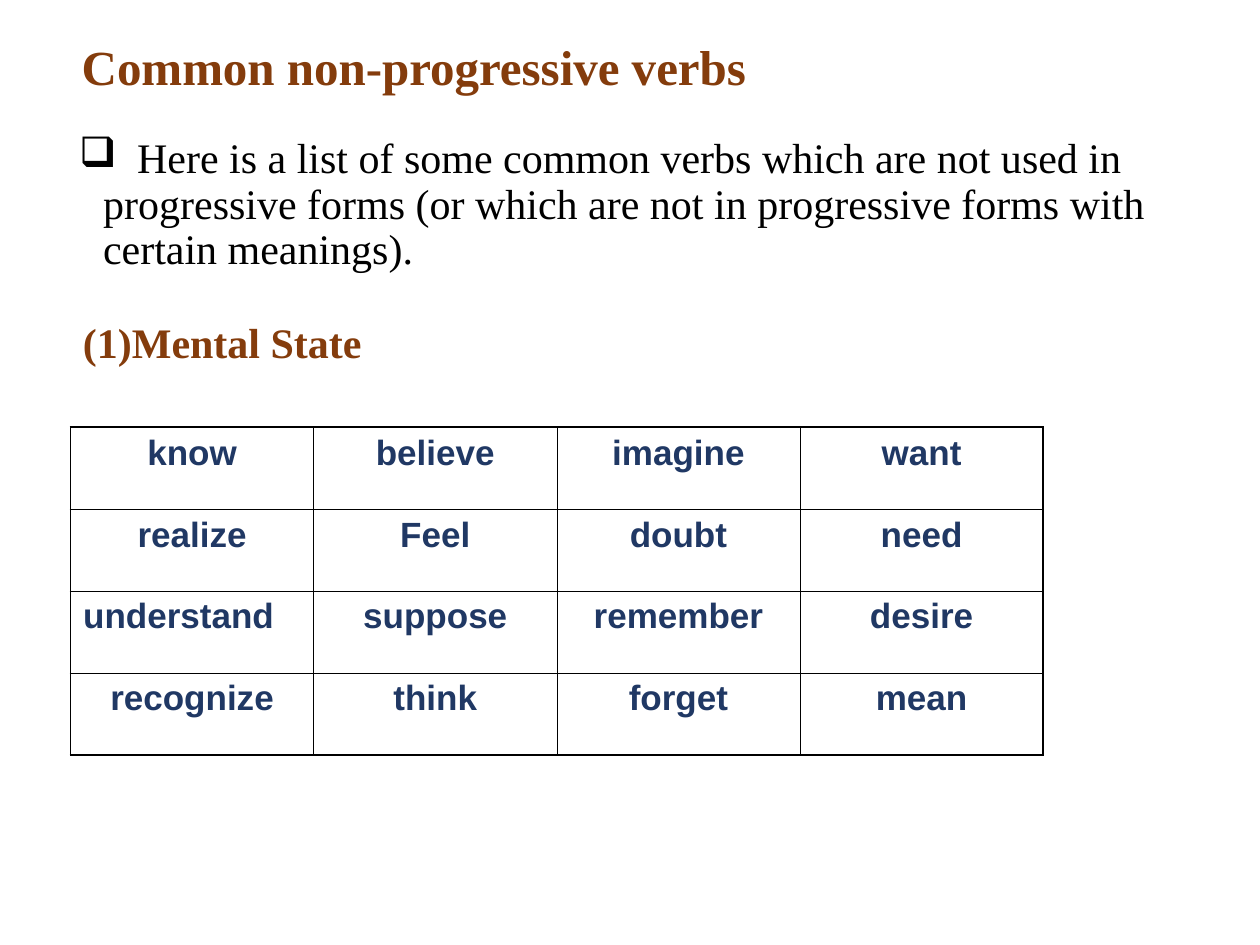
import lxml.etree
import pptx
import pptx.dml.color
import pptx.enum.shapes
import pptx.enum.text
import pptx.oxml.ns
import pptx.util

COLORS = {"heading": "843C0C", "body": "000000", "verb": "203864",
          "border": "000000", "paper": "FFFFFF"}
SLIDE_WIDTH, SLIDE_HEIGHT = 10, 7.5
COLUMN_WIDTH, ROW_HEIGHT = 1.93, 0.65
OUTER_BORDER, INNER_BORDER = 1.08, 0.45
HEADING = {"name": "Times New Roman", "bold": True}
BODY = {"name": "Times New Roman", "size": pptx.util.Pt(24), "bold": False}
VERB = {"name": "Arial", "size": pptx.util.Pt(20), "bold": True}
VERBS = [
    ["know", "believe", "imagine", "want"],
    ["realize", "Feel", "doubt", "need"],
    ["understand", "suppose", "remember", "desire"],
    ["recognize", "think", "forget", "mean"],
]


def rgb(part):
    return pptx.dml.color.RGBColor.from_string(COLORS[part])


def add_child(parent, tag, **attributes):
    return lxml.etree.SubElement(parent, pptx.oxml.ns.qn(tag), attributes)


def write(paragraph, text, font_values, part, align="LEFT"):
    paragraph.text = text
    paragraph.alignment = getattr(pptx.enum.text.PP_ALIGN, align)
    font = paragraph.runs[0].font
    for name, value in font_values.items():
        setattr(font, name, value)
    font.color.rgb = rgb(part)


def add_heading(slide, text, size, left, top, width, height):
    heading = slide.shapes.add_shape(
        pptx.enum.shapes.MSO_SHAPE.RECTANGLE,
        *map(pptx.util.Inches, (left, top, width, height)))
    heading.shadow.inherit = False
    heading.fill.solid()
    heading.fill.fore_color.rgb = rgb("paper")
    heading.line.fill.background()
    frame = heading.text_frame
    frame.word_wrap = True
    frame.vertical_anchor = pptx.enum.text.MSO_ANCHOR.TOP
    write(frame.paragraphs[0], text,
          {**HEADING, "size": pptx.util.Pt(size)}, "heading")


def add_bulleted_text(slide, text, left, top, width, height):
    box = slide.shapes.add_textbox(
        *map(pptx.util.Inches, (left, top, width, height)))
    box.text_frame.word_wrap = True
    paragraph = box.text_frame.paragraphs[0]
    paragraph.line_spacing = 0.9
    hanging = pptx.util.Inches(0.19)
    properties = paragraph._p.get_or_add_pPr()
    properties.set("marL", str(hanging))
    properties.set("indent", str(-hanging))
    bullet_color = add_child(properties, "a:buClr")
    add_child(bullet_color, "a:srgbClr", val=COLORS["body"])
    add_child(properties, "a:buChar", char="❑")
    tabs = add_child(properties, "a:tabLst")
    add_child(tabs, "a:tab", pos=str(pptx.util.Inches(0.46)), algn="l")
    write(paragraph, "\t" + text, BODY, "body")


def draw_borders(cell, row, column, last_row, last_column):
    """Draw the four sides, heavier along the edge of the table."""
    properties = cell._tc.get_or_add_tcPr()
    on_edge = {"a:lnL": column == 0, "a:lnR": column == last_column,
               "a:lnT": row == 0, "a:lnB": row == last_row}
    for side, outer in on_edge.items():
        weight = pptx.util.Pt(OUTER_BORDER if outer else INNER_BORDER)
        line = add_child(properties, side, w=str(weight))
        fill = add_child(line, "a:solidFill")
        add_child(fill, "a:srgbClr", val=COLORS["border"])


def add_verb_table(slide, left, top):
    rows, columns = len(VERBS), len(VERBS[0])
    table = slide.shapes.add_table(
        rows, columns, *map(pptx.util.Inches, (
            left, top, columns * COLUMN_WIDTH, rows * ROW_HEIGHT))).table
    table.first_row = table.horz_banding = False
    for row, verbs in enumerate(VERBS):
        for column, verb in enumerate(verbs):
            cell = table.cell(row, column)
            draw_borders(cell, row, column, rows - 1, columns - 1)
            cell.fill.background()
            align = "LEFT" if verb == "understand" else "CENTER"
            write(cell.text_frame.paragraphs[0], verb, VERB, "verb", align)


def main():
    presentation = pptx.Presentation()
    presentation.slide_width = pptx.util.Inches(SLIDE_WIDTH)
    presentation.slide_height = pptx.util.Inches(SLIDE_HEIGHT)
    slide = presentation.slides.add_slide(presentation.slide_layouts[6])
    margin = 0.056 * SLIDE_WIDTH
    add_bulleted_text(
        slide,
        "Here is a list of some common verbs which are not used in "
        "progressive forms (or which are not in progressive forms with "
        "certain meanings).",
        0.053 * SLIDE_WIDTH, 0.139 * SLIDE_HEIGHT,
        0.872 * SLIDE_WIDTH, 0.257 * SLIDE_HEIGHT)
    add_verb_table(slide, margin, 0.452 * SLIDE_HEIGHT)
    add_heading(slide, "(1)Mental State", 24, margin, 0.328 * SLIDE_HEIGHT,
                0.752 * SLIDE_WIDTH, 0.067 * SLIDE_HEIGHT)
    add_heading(slide, "Common non-progressive verbs", 28,
                0.055 * SLIDE_WIDTH, 0.032 * SLIDE_HEIGHT,
                0.945 * SLIDE_WIDTH, 0.076 * SLIDE_HEIGHT)
    presentation.save("out.pptx")


if __name__ == "__main__":
    main()
